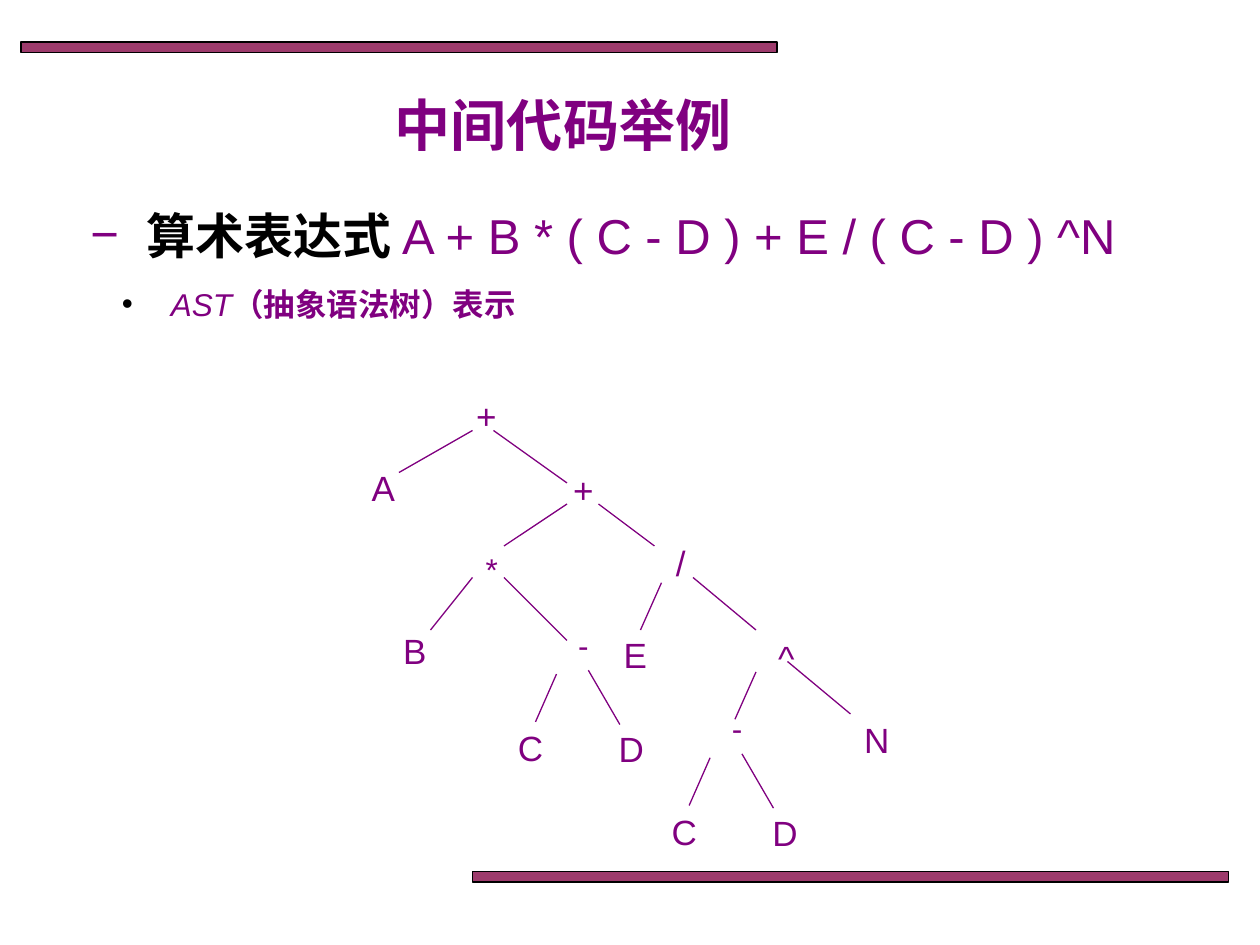
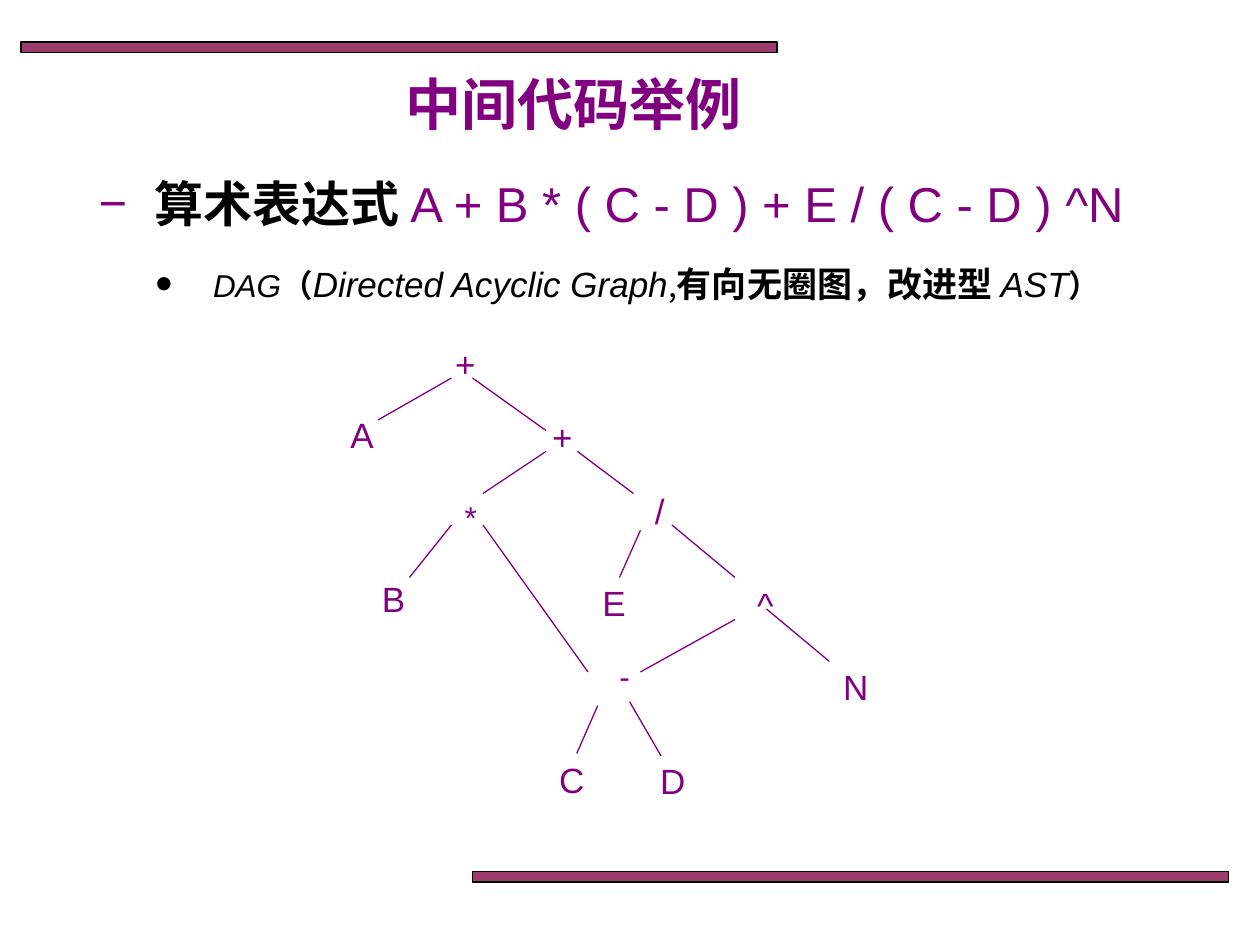
from lxml.etree import SubElement
from pptx import Presentation
from pptx.dml.color import RGBColor
from pptx.enum.shapes import MSO_CONNECTOR, MSO_SHAPE
from pptx.enum.text import PP_ALIGN
from pptx.oxml.ns import qn
from pptx.util import Pt

PURPLE = RGBColor(0x80, 0x00, 0x80)
PLUM = RGBColor(0x99, 0x33, 0x66)
BLACK = RGBColor(0x00, 0x00, 0x00)
LATIN, CJK = "Arial", "Noto Sans CJK SC"
LEFT, CENTER = PP_ALIGN.LEFT, PP_ALIGN.CENTER

TITLE = " 中间代码举例"
BARS = [(12, 24), (270, 498)]
BAR_SIZE = (432, 6)
BAR_OPACITY = 96

# Runs are (text, format) pairs
EXPRESSION = [
    ("算术表达式 ", dict(size=28, bold=True, color=BLACK)),
    ("A + B * ( C - D ) + E / ( C - D ) ^N", dict(size=28, color=PURPLE)),
]
AST_LABEL = [
    ("AST", dict(size=18, italic=True, color=PURPLE)),
    ("（抽象语法树）表示", dict(size=18, bold=True, color=PURPLE)),
]
DAG_LABEL = [
    ("DAG", dict(size=18, italic=True)),
    ("（", dict(size=18, bold=True)),
    ("Directed Acyclic Graph", dict(size=20, italic=True)),
    (",", dict(size=18, name=CJK)),
    ("有向无圈图，改进型 ", dict(size=20, bold=True)),
    ("AST", dict(size=20, italic=True)),
    ("）", dict(size=18, bold=True)),
]

# Nodes are (symbol, centre x, top); edges are (x1, y1, x2, y2)
COMMON_NODES = [
    ("+", 278, 222), ("A", 219, 263), ("+", 333.4, 264),
    ("*", 281, 311), ("/", 389, 306), ("B", 237, 356.4),
    ("E", 363, 358.6), ("^", 449.3, 360), ("N", 501, 407),
]
COMMON_EDGES = [
    (270, 246, 228, 270), (282, 246, 324, 276),
    (324, 288, 288, 312), (342, 288, 374, 312),
    (270, 330, 246, 360), (378, 333, 366, 360),
    (396, 330, 432, 360), (450, 378, 486, 408),
]
# The C - D subtree, measured from its minus node
MINUS_NODES = [("-", 0, 0), ("C", -30.2, 57.8), ("D", 27.4, 58.4)]
MINUS_EDGES = [(2.8, 29, 20.8, 60), (-15.4, 31.2, -27.4, 58.5)]

NODE_WIDTH = {"^": 37.5, "D": 37.5, "/": 26.6, "*": 26.6}
SMALL_SYMBOLS = "*-"

SLIDES = [
    dict(
        title_at=(37.4, 48.2), body_at=(44.6, 113.8), body_height=75,
        align=LEFT, label=AST_LABEL,
        label_format=dict(margin=46, hang=28, gap=12, bullet_pct=100),
        tree_offset=(0, 0), minuses=[(333.4, 354), (421.2, 401.8)],
        minus_links=[(288, 330, 324, 366), (432, 384, 420, 411)],
    ),
    dict(
        title_at=(43.2, 36), body_at=(40.3, 95.8), body_height=86.4,
        align=CENTER, label=DAG_LABEL,
        label_format=dict(margin=52, hang=33, gap=17, bullet_pct=156),
        tree_offset=(-12, -30), minuses=[(369, 402)],
        minus_links=[(288, 330, 348, 414), (432, 384, 378, 414)],
    ),
]


def add_bar(s, x, y):
    bar = s.shapes.add_shape(MSO_SHAPE.RECTANGLE, Pt(x), Pt(y),
                             *map(Pt, BAR_SIZE))
    bar.shadow.inherit = False
    bar.fill.solid()
    bar.fill.fore_color.rgb = PLUM
    color = bar.fill._xPr.find(".//" + qn("a:srgbClr"))
    SubElement(color, qn("a:alpha"), val=str(BAR_OPACITY * 1000))
    bar.line.color.rgb = BLACK
    bar.line.width = Pt(0.75)


def add_text_box(s, x, y, w, h):
    tf = s.shapes.add_textbox(Pt(x), Pt(y), Pt(w), Pt(h)).text_frame
    tf.word_wrap = True
    return tf


def add_runs(p, runs, align):
    p.alignment = align
    for text, fmt in runs:
        r = p.add_run()
        r.text = text
        values = dict(name=LATIN, bold=False, italic=False, color=BLACK) | fmt
        r.font.color.rgb = values.pop("color")
        r.font.size = Pt(values.pop("size"))
        for key, value in values.items():
            setattr(r.font, key, value)


def set_bullet(p, char, color, margin, hang, gap=0, bullet_pct=100):
    p.space_before = Pt(gap)
    pPr = p._p.get_or_add_pPr()
    pPr.set("marL", str(Pt(margin)))
    pPr.set("indent", str(-Pt(hang)))
    SubElement(SubElement(pPr, qn("a:buClr")), qn("a:srgbClr"), val=str(color))
    SubElement(pPr, qn("a:buSzPct"), val=str(bullet_pct * 1000))
    SubElement(pPr, qn("a:buFont"), typeface=LATIN)
    SubElement(pPr, qn("a:buChar"), char=char)


def add_node(s, symbol, x, y):
    small = symbol in SMALL_SYMBOLS
    w = NODE_WIDTH.get(symbol, 30)
    tf = add_text_box(s, x - w / 2, y, w, 36 if small else 31)
    fmt = dict(size=18 if small else 20, color=PURPLE)
    add_runs(tf.paragraphs[0], [(symbol, fmt)], CENTER)


def add_edge(s, *ends):
    line = s.shapes.add_connector(MSO_CONNECTOR.STRAIGHT, *map(Pt, ends))
    line.line.color.rgb = PURPLE
    line.line.width = Pt(0.75)
    SubElement(line._element.spPr, qn("a:effectLst"))


def add_graph(s, nodes, edges, dx, dy):
    """Draw nodes and edges, all moved by dx, dy."""
    for symbol, x, y in nodes:
        add_node(s, symbol, x + dx, y + dy)
    for x1, y1, x2, y2 in edges:
        add_edge(s, x1 + dx, y1 + dy, x2 + dx, y2 + dy)


def build_slide(prs, data):
    s = prs.slides.add_slide(prs.slide_layouts[6])
    for bar in BARS:
        add_bar(s, *bar)

    body = add_text_box(s, *data["body_at"], 617.8, data["body_height"])
    p = body.paragraphs[0]
    add_runs(p, EXPRESSION, data["align"])
    set_bullet(p, "−", PURPLE, margin=32, hang=32)
    p = body.add_paragraph()
    p.level = 1
    add_runs(p, data["label"], data["align"])
    set_bullet(p, "•", BLACK, **data["label_format"])

    title = add_text_box(s, *data["title_at"], 561.6, 45.4)
    fmt = dict(size=32, bold=True, name=CJK, color=PURPLE)
    add_runs(title.paragraphs[0], [(TITLE, fmt)], CENTER)

    dx, dy = data["tree_offset"]
    add_graph(s, COMMON_NODES, COMMON_EDGES + data["minus_links"], dx, dy)
    for x, y in data["minuses"]:
        add_graph(s, MINUS_NODES, MINUS_EDGES, x + dx, y + dy)


def main():
    prs = Presentation()
    prs.slide_width, prs.slide_height = Pt(720), Pt(540)
    for data in SLIDES:
        build_slide(prs, data)
    prs.save("out.pptx")


if __name__ == "__main__":
    main()
